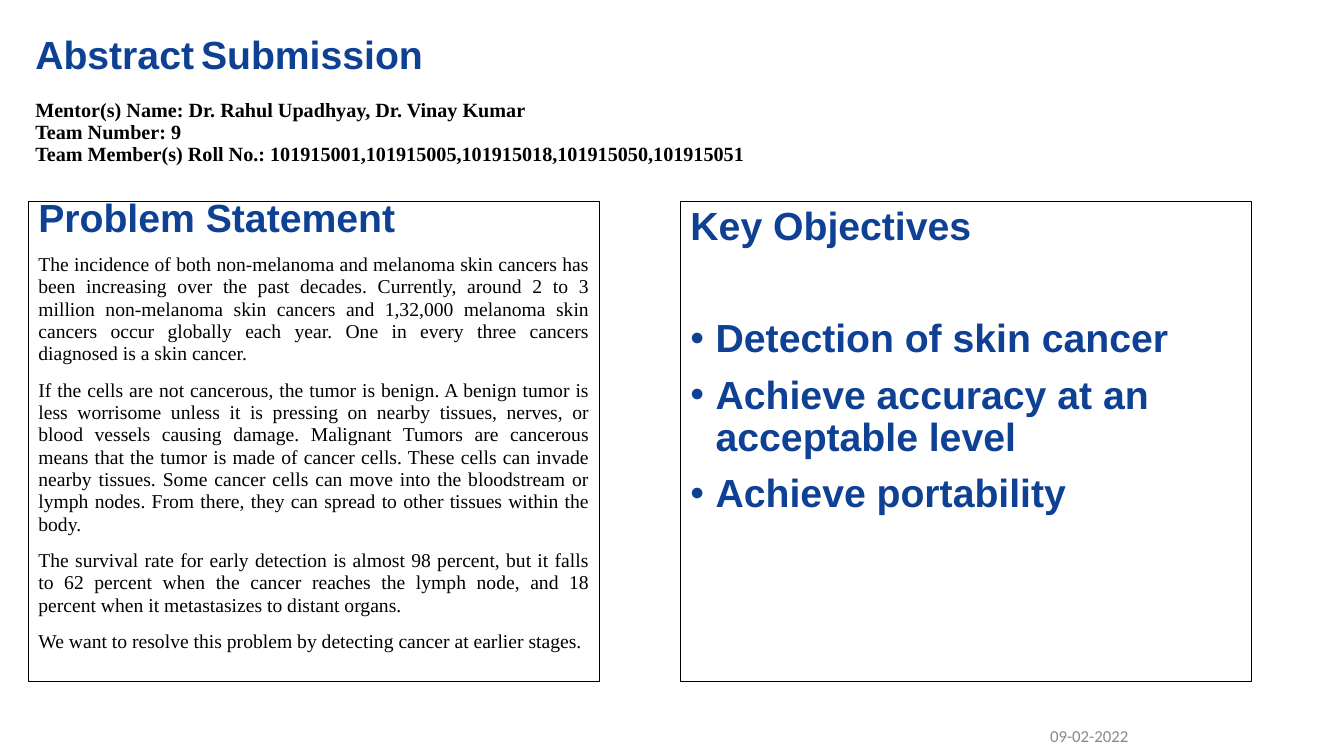
"""Builds the abstract submission slide with its problem statement and objectives."""
from lxml.etree import SubElement as SubEl
from pptx import Presentation
from pptx.dml.color import RGBColor
from pptx.enum.text import MSO_ANCHOR as Anchor, MSO_AUTO_SIZE as Fit, PP_ALIGN as Align
from pptx.oxml.ns import qn
from pptx.util import Pt

BLUE = RGBColor(0x0E, 0x40, 0x94)
BLACK = RGBColor(0, 0, 0)
GREY = RGBColor(0x88, 0x88, 0x88)
WHITE = RGBColor(0xFF, 0xFF, 0xFF)

HEAD = ("Arial", 28, BLUE, True)
GAP = ("Times New Roman", 18, BLACK, True)
TEAM = ("Times New Roman", 14.4, BLACK, True)
PROSE = ("Times New Roman", 14, BLACK, False)
DATE = ("Calibri", 12, GREY, False)

DETAILS = [
    "Mentor(s) Name: Dr. Rahul Upadhyay, Dr. Vinay Kumar",
    "Team Number: 9",
    "Team Member(s) Roll No.: 101915001,101915005,101915018,101915050,101915051",
]
PROBLEM = [
    "The incidence of both non-melanoma and melanoma skin cancers has been increasing "
    "over the past decades. Currently, around 2 to 3 million non-melanoma skin cancers "
    "and 1,32,000 melanoma skin cancers occur globally each year. One in every three "
    "cancers diagnosed is a skin cancer.",
    "If the cells are not cancerous, the tumor is benign. A benign tumor is less "
    "worrisome unless it is pressing on nearby tissues, nerves, or blood vessels causing "
    "damage. Malignant Tumors are cancerous means that the tumor is made of cancer cells. "
    "These cells can invade nearby tissues. Some cancer cells can move into the "
    "bloodstream or lymph nodes. From there, they can spread to other tissues within "
    "the body.",
    "The survival rate for early detection is almost 98 percent, but it falls to 62 "
    "percent when the cancer reaches the lymph node, and 18 percent when it "
    "metastasizes to distant organs.",
    "We want to resolve this problem by detecting cancer at earlier stages.",
]
GOALS = [
    "Detection of skin cancer",
    "Achieve accuracy at an acceptable level",
    "Achieve portability",
]


def place(shape, left, top, width, height):
    shape.left, shape.top = Pt(left), Pt(top)
    shape.width, shape.height = Pt(width), Pt(height)


def style(run, look):
    font = run.font
    font.name, size, font.color.rgb, font.bold = look
    font.size = Pt(size)


def set_para(para, text, look, lines=0.9, before=0, align=Align.LEFT, mark=False):
    if text:
        para.text = text
    for run in para.runs:
        style(run, look)
    para.alignment = align
    para.line_spacing = lines
    para.space_before, para.space_after = Pt(before), Pt(0)
    props = para._p.get_or_add_pPr()
    props.set("marL", str(Pt(18 if mark else 0)))
    props.set("indent", str(Pt(-18 if mark else 0)))
    if mark:
        tint = SubEl(props, qn("a:buClr"))
        SubEl(tint, qn("a:srgbClr"), val=str(BLUE))
        SubEl(props, qn("a:buFont"), typeface="Arial")
        SubEl(props, qn("a:buChar"), char="•")
    else:
        SubEl(props, qn("a:buNone"))


def set_title(title):
    place(title, 0, 7.2, 828, 111.6)
    frame = title.text_frame
    frame.auto_size = Fit.NONE
    frame.vertical_anchor = Anchor.TOP
    frame.margin_left, frame.margin_top = Pt(25.2), Pt(18.5)
    head = frame.paragraphs[0]
    for text, look in (("Abstract", HEAD), (" ", GAP), ("Submission", HEAD)):
        run = head.add_run()
        run.text = text
        style(run, look)
    set_para(head, "", HEAD)
    head.runs[1].font.size = Pt(18)
    for i, text in enumerate(DETAILS):
        set_para(frame.add_paragraph(), text, TEAM, before=0 if i else 15.6)


def set_panel(panel, left, title, lines, weight):
    place(panel, left, 144, 408.2, 342.7)
    panel.line.color.rgb = BLACK
    panel.line.width = Pt(weight)
    frame = panel.text_frame
    frame.auto_size = Fit.NONE
    frame.vertical_anchor = Anchor.TOP
    set_para(frame.paragraphs[0], title, HEAD, lines)
    return frame


def add_date(slide):
    box = slide.shapes.add_textbox(Pt(743), Pt(511.2), Pt(216), Pt(28.8))
    frame = box.text_frame
    frame.word_wrap = True
    frame.vertical_anchor = Anchor.MIDDLE
    set_para(frame.paragraphs[0], "09-02-2022", DATE, 1)


def main():
    deck = Presentation()
    deck.slide_width, deck.slide_height = Pt(960), Pt(540)
    slide = deck.slides.add_slide(deck.slide_layouts[3])
    title, left, right = slide.placeholders
    set_title(title)

    frame = set_panel(left, 20.2, "Problem Statement", 0.7, 1)
    left.fill.solid()
    left.fill.fore_color.rgb = WHITE
    for text in PROBLEM:
        set_para(frame.add_paragraph(), text, PROSE, 0.95, 10, Align.JUSTIFY)

    frame = set_panel(right, 486, "Key Objectives", 0.9, 0.75)
    for i, text in enumerate(GOALS):
        set_para(frame.add_paragraph(), text, HEAD, before=10 if i else 50, mark=True)

    add_date(slide)
    deck.save("out.pptx")


if __name__ == "__main__":
    main()
